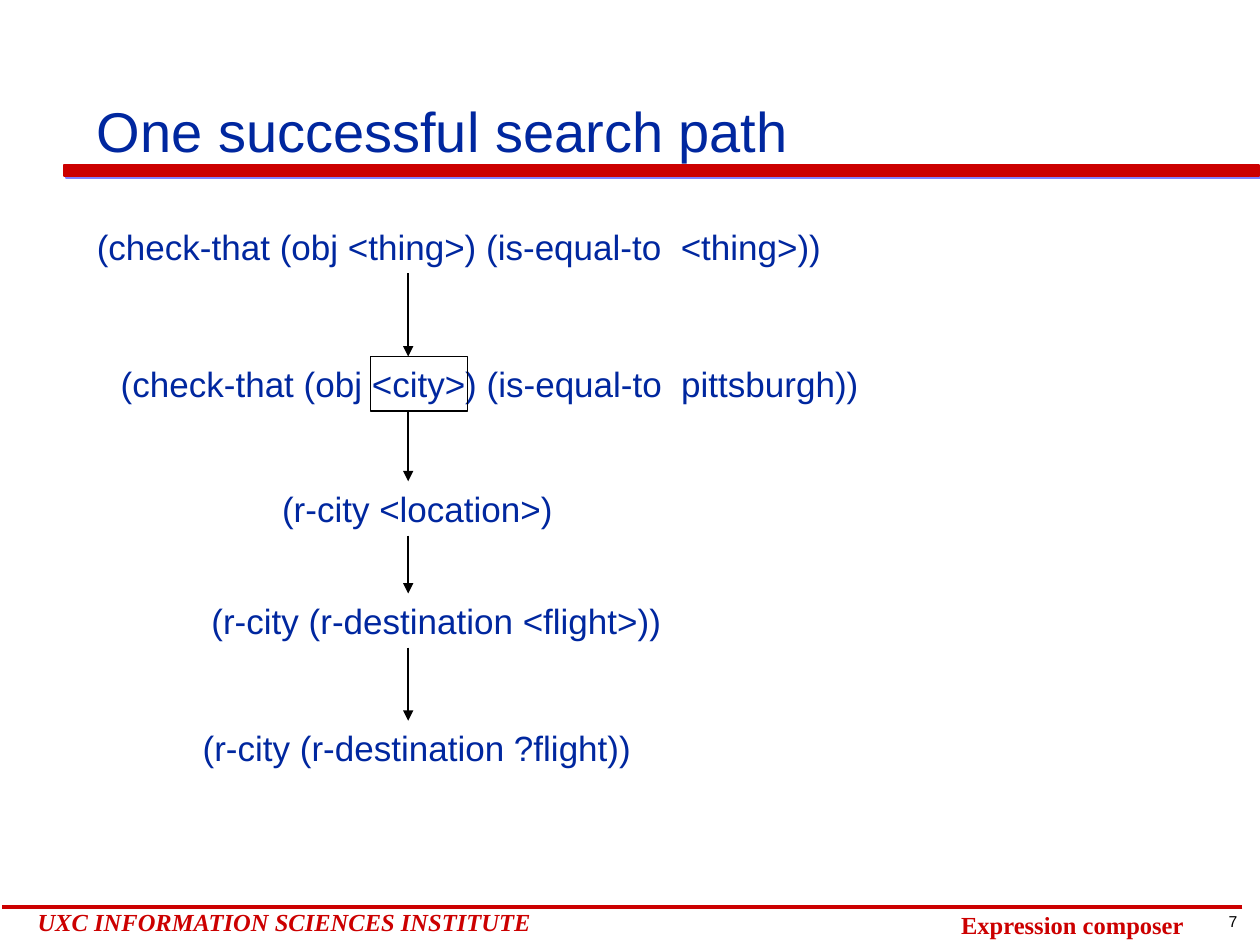
from lxml import etree
from pptx import Presentation
from pptx.dml.color import RGBColor
from pptx.enum.shapes import MSO_CONNECTOR, MSO_SHAPE
from pptx.enum.text import MSO_ANCHOR, PP_ALIGN
from pptx.oxml import parse_xml
from pptx.oxml.ns import nsdecls, qn
from pptx.util import Inches, Pt

RECT = MSO_SHAPE.RECTANGLE
LINE = MSO_CONNECTOR.STRAIGHT
TOP, LOW = MSO_ANCHOR.TOP, MSO_ANCHOR.BOTTOM
LEFT, MID = PP_ALIGN.LEFT, PP_ALIGN.CENTER

COLORS = {"red": "CC0000", "blue": "00279F", "black": "000000", "shade": "8080FF"}
SANS, SERIF = "Arial", "Times New Roman"


class Deck:
    def __init__(self):
        self.prs = Presentation()
        self.prs.slide_width = Inches(10)
        self.prs.slide_height = Inches(7.5)
        self.slide = self.prs.slides.add_slide(self.prs.slide_layouts[6])

    def color(self, name):
        return RGBColor.from_string(COLORS[name])

    def text(self, text, x, y, w, h, size=20, color="blue", font=SANS,
             bold=False, italic=False, align=LEFT, anchor=TOP, wrap=True):
        box = self.slide.shapes.add_textbox(Inches(x), Inches(y), Inches(w), Inches(h))
        frame = box.text_frame
        frame.text = text
        frame.word_wrap = wrap
        frame.vertical_anchor = anchor
        para = frame.paragraphs[0]
        para.alignment = align
        for run in para.runs:
            run.font.size = Pt(size)
            run.font.name = font
            run.font.bold = bold
            run.font.italic = italic
            run.font.color.rgb = self.color(color)

    def rect(self, x, y, w, h, line, fill=None):
        box = self.slide.shapes.add_shape(RECT, Inches(x), Inches(y), Inches(w), Inches(h))
        box.shadow.inherit = False
        if fill:
            box.fill.solid()
            box.fill.fore_color.rgb = self.color(fill)
        else:
            box.fill.background()
        box.line.color.rgb = self.color(line)
        box.line.width = Pt(1)
        return box

    def shade(self, box, color, dist):
        effects = box._element.spPr.find(qn("a:effectLst"))
        effects.append(parse_xml(
            f'<a:outerShdw {nsdecls("a")} dist="{Pt(dist)}" dir="2700000">'
            f'<a:srgbClr val="{COLORS[color]}"/></a:outerShdw>'))

    def line(self, x1, y1, x2, y2, color="black", width=1, arrow=False):
        line = self.slide.shapes.add_connector(
            LINE, Inches(x1), Inches(y1), Inches(x2), Inches(y2))
        line.line.color.rgb = self.color(color)
        line.line.width = Pt(width)
        if arrow:
            etree.SubElement(line.line._get_or_add_ln(), qn("a:tailEnd"), type="triangle")
        etree.SubElement(line._element.spPr, qn("a:effectLst"))

    def save(self):
        self.prs.save("out.pptx")


STEPS = [
    ("(check-that (obj <thing>) (is-equal-to  <thing>))", 0.67, 1.74, 6.14),
    ("(check-that (obj <city>) (is-equal-to  pittsburgh))", 0.86, 2.83, 6.14),
    ("(r-city <location>)", 2.14, 3.82, 2.5),
    ("(r-city (r-destination <flight>))", 1.58, 4.71, 3.9),
    ("(r-city (r-destination ?flight))", 1.51, 5.72, 3.98),
]
ROW = 0.43
AXIS = 3.24


def main():
    deck = Deck()
    bar = deck.rect(0.51, 1.31, 9.48, 0.09, "red", "red")
    deck.shade(bar, "shade", 1.4)
    deck.text("7", 9.4, 7.19, 0.77, 0.25, 9, "black", align=MID, wrap=False)
    deck.line(9.86, 7.2, 0.02, 7.2, "red", 2)
    deck.text("UXC INFORMATION SCIENCES INSTITUTE", 0.2, 7.15, 4.36, 0.33,
              14, "red", SERIF, bold=True, italic=True)
    deck.text("Expression composer", 7.53, 7.17, 1.97, 0.33,
              14, "red", SERIF, bold=True)
    deck.text("One successful search path", 0.67, 0.09, 8.48, 1.26, 32, anchor=LOW)

    for text, x, y, w in STEPS:
        deck.text(text, x, y, w, ROW)
    tops = [step[2] for step in STEPS]
    deck.rect(2.94, tops[1], 0.77, ROW, "black")
    for top, end in zip(tops, tops[1:]):
        deck.line(AXIS, top + ROW, AXIS, end, arrow=True)
    deck.save()


if __name__ == "__main__":
    main()
